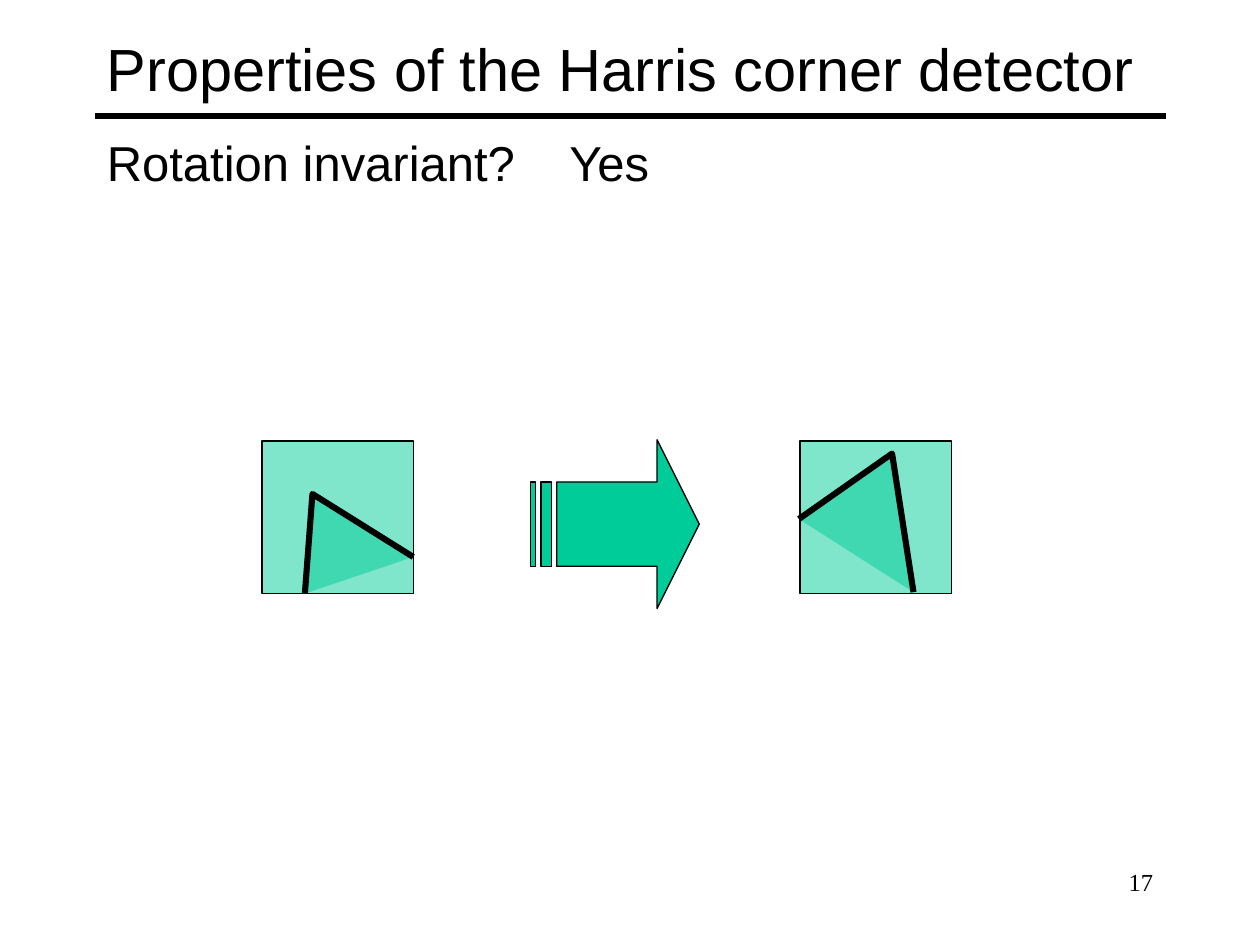
from lxml.etree import SubElement
from pptx import Presentation
from pptx.dml.color import RGBColor
from pptx.enum.shapes import MSO_CONNECTOR, MSO_SHAPE
from pptx.enum.text import MSO_ANCHOR, PP_ALIGN
from pptx.oxml.ns import qn
from pptx.util import Inches, Pt

BLACK = RGBColor(0, 0, 0)
GREEN = RGBColor(0x00, 0xCC, 0x99)

TEXTS = [
    ("Properties of the Harris corner detector", (0.75, 0.08, 8.5, 0.92), 34, "Arial", MSO_ANCHOR.MIDDLE, PP_ALIGN.LEFT),
    ("Rotation invariant?", (0.75, 1, 8.5, 2.5), 28, "Arial", MSO_ANCHOR.TOP, PP_ALIGN.LEFT),
    ("Yes", (4.42, 1, 2.08, 0.57), 28, "Arial", MSO_ANCHOR.TOP, PP_ALIGN.LEFT),
    ("17", (7.17, 6.83, 2.08, 0.5), 14, "Times New Roman", MSO_ANCHOR.TOP, PP_ALIGN.RIGHT),
]
WINDOWS = [
    (2.08, [(2.42, 4.71), (2.48, 3.92), (3.28, 4.42)]),
    (6.35, [(6.34, 4.12), (7.08, 3.6), (7.25, 4.7)]),
]
WINDOW_TOP, WINDOW_WIDTH, WINDOW_HEIGHT = 3.5, 1.2, 1.21


def add_text(slide, text, box, size, font_name, anchor, alignment):
    frame = slide.shapes.add_textbox(*map(Inches, box)).text_frame
    frame.word_wrap = True
    frame.vertical_anchor = anchor
    paragraph = frame.paragraphs[0]
    paragraph.text = text
    paragraph.alignment = alignment
    paragraph.font.size = Pt(size)
    paragraph.font.name = font_name
    paragraph.font.color.rgb = BLACK


def style_shape(shape, line_width, opacity=100):
    shape.shadow.inherit = False
    shape.fill.solid()
    shape.fill.fore_color.rgb = GREEN
    shape.line.color.rgb = BLACK
    shape.line.width = Pt(line_width)
    if opacity < 100:
        color = shape.fill._xPr.find(qn("a:solidFill"))[0]
        SubElement(color, qn("a:alpha"), val=str(opacity * 1000))


def add_window(slide, left, corner):
    window = slide.shapes.add_shape(
        MSO_SHAPE.RECTANGLE,
        *map(Inches, (left, WINDOW_TOP, WINDOW_WIDTH, WINDOW_HEIGHT)),
    )
    style_shape(window, 0.75, 50)
    start, *others = [(Inches(x), Inches(y)) for x, y in corner]
    builder = slide.shapes.build_freeform(*start)
    builder.add_line_segments(others, close=False)
    style_shape(builder.convert_to_shape(), 3.5, 50)


def main():
    presentation = Presentation()
    presentation.slide_width = Inches(10)
    presentation.slide_height = Inches(7.5)
    slide = presentation.slides.add_slide(presentation.slide_layouts[6])

    rule = slide.shapes.add_connector(
        MSO_CONNECTOR.STRAIGHT, *map(Inches, (0.75, 0.92, 9.25, 0.92))
    )
    rule.line.color.rgb = BLACK
    rule.line.width = Pt(3)
    SubElement(rule._element.spPr, qn("a:effectLst"))

    for text in TEXTS:
        add_text(slide, *text)
    for left, corner in WINDOWS:
        add_window(slide, left, corner)

    arrow = slide.shapes.add_shape(
        MSO_SHAPE.STRIPED_RIGHT_ARROW, *map(Inches, (4.21, 3.49, 1.34, 1.34))
    )
    arrow.adjustments[0] = 0.5
    arrow.adjustments[1] = 0.25
    style_shape(arrow, 0.75)

    presentation.save("out.pptx")


if __name__ == "__main__":
    main()
